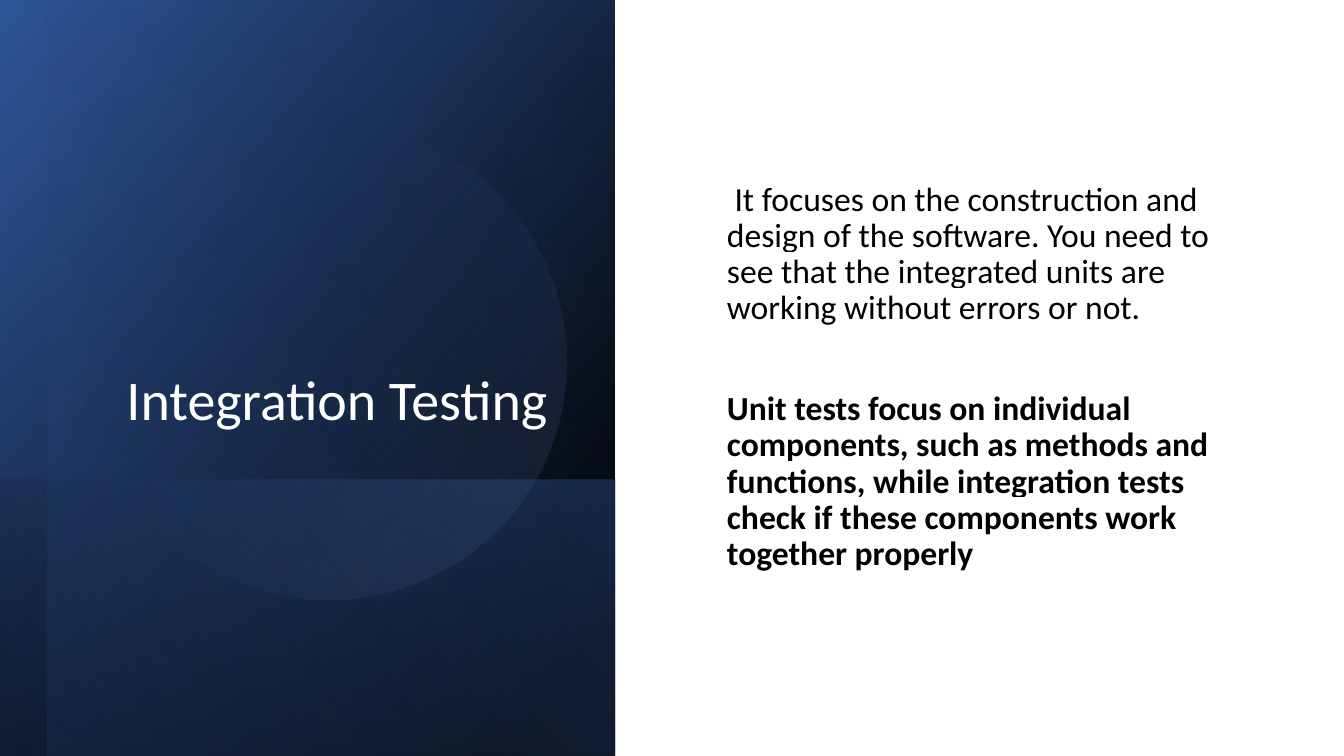
from lxml import etree
from pptx import Presentation
from pptx.dml.color import RGBColor
from pptx.enum import shapes, text
from pptx.oxml import ns
from pptx.util import Inches, Pt

FACE = "Calibri"
WHITE = "FFFFFF"
BLACK = "000000"
BLUE = "4472C4"


def rgb(code):
    return RGBColor.from_string(code)


def node(up, tag, **attrs):
    return etree.SubElement(up, ns.qn(tag), attrs)


def fade(shape, stops, angle):
    grad = etree.Element(ns.qn("a:gradFill"), rotWithShape="1")
    row = node(grad, "a:gsLst")
    for pos, code, alpha in stops:
        stop = node(row, "a:gs", pos=str(pos * 1000))
        tint = node(stop, "a:srgbClr", val=code)
        node(tint, "a:alpha", val=str(alpha * 1000))
    node(grad, "a:lin", ang=str(angle * 60000), scaled="0")
    shape.fill.background()
    blank = shape._element.spPr.find(ns.qn("a:noFill"))
    blank.getparent().replace(blank, grad)


def layer(slide, kind, box, turn, stops, angle):
    shape = slide.shapes.add_shape(kind, *map(Inches, box))
    shape.rotation = turn
    shape.shadow.inherit = False
    shape.line.fill.background()
    fade(shape, stops, angle)
    return shape


def panel(slide, box):
    left, top, width, height = box
    base = top + height
    bands = [
        (left, top, width, height, [(8, BLACK, 100), (100, "2F5597", 100)], 50),
        (left, base - 2.74, width, 2.74, [(2, BLUE, 29), (100, BLACK, 30)], 130),
        (left + 0.47, top, width - 0.47, height, [(0, BLACK, 0), (99, BLUE, 11)], 130),
    ]
    for x, y, wide, tall, stops, angle in bands:
        spot = (x + (wide - tall) / 2, y + (tall - wide) / 2, tall, wide)
        band = layer(slide, shapes.MSO_SHAPE.RECTANGLE, spot, 90, stops, angle)
        band._element.spPr.xfrm.set("flipH", "1")
    disc = (left + 0.9, top + 1.23, 4.72, 4.72)
    glow = [(39, BLUE, 0), (100, "8FAADC", 15)]
    layer(slide, shapes.MSO_SHAPE.OVAL, disc, 101.6, glow, 290)


def place(holder, box, anchor):
    holder.left, holder.top, holder.width, holder.height = map(Inches, box)
    frame = holder.text_frame
    frame.word_wrap = True
    frame.auto_size = text.MSO_AUTO_SIZE.NONE
    frame.vertical_anchor = anchor
    return frame


def style(para, size, code, align, bold=False):
    para.alignment = align
    para.line_spacing = 0.9
    font = para.font
    font.name = FACE
    font.size = Pt(size)
    font.bold = bold
    font.color.rgb = rgb(code)


def title(slide, box):
    frame = place(slide.shapes.title, box, text.MSO_ANCHOR.BOTTOM)
    frame.text = "Integration Testing"
    style(frame.paragraphs[0], 40, WHITE, text.PP_ALIGN.RIGHT)


def body(slide, box):
    frame = place(slide.placeholders[1], box, text.MSO_ANCHOR.MIDDLE)
    items = [
        (" It focuses on the construction and design of the software. "
         "You need to see that the integrated units are working without "
         "errors or not.", False, 10),
        ("Unit tests focus on individual components, such as methods and "
         "functions, while integration tests check if these components work "
         "together properly", True, 46),
    ]
    frame.text = "\n".join(words for words, bold, gap in items)
    for para, (words, bold, gap) in zip(frame.paragraphs, items):
        style(para, 24, BLACK, text.PP_ALIGN.LEFT, bold)
        para.space_before = Pt(gap)
        props = para._p.get_or_add_pPr()
        props.set("marL", "0")
        props.set("indent", "0")
        props.find(ns.qn("a:defRPr")).addprevious(etree.Element(ns.qn("a:buNone")))
        mark = node(para.runs[0]._r.get_or_add_rPr(), "a:highlight")
        node(mark, "a:srgbClr", val=WHITE)


def main():
    deck = Presentation()
    deck.slide_width = Inches(13.33)
    deck.slide_height = Inches(7.5)
    slide = deck.slides.add_slide(deck.slide_layouts[1])
    slide.background.fill.solid()
    slide.background.fill.fore_color.rgb = rgb(WHITE)
    panel(slide, (0, 0, 6.1, 7.5))
    tree = slide.shapes._spTree
    for holder in list(slide.placeholders):
        tree.append(holder._element)
    title(slide, (0.9, 0.64, 4.63, 3.7))
    body(slide, (7.11, 0.71, 5.32, 6.07))
    deck.save("out.pptx")


if __name__ == "__main__":
    main()
